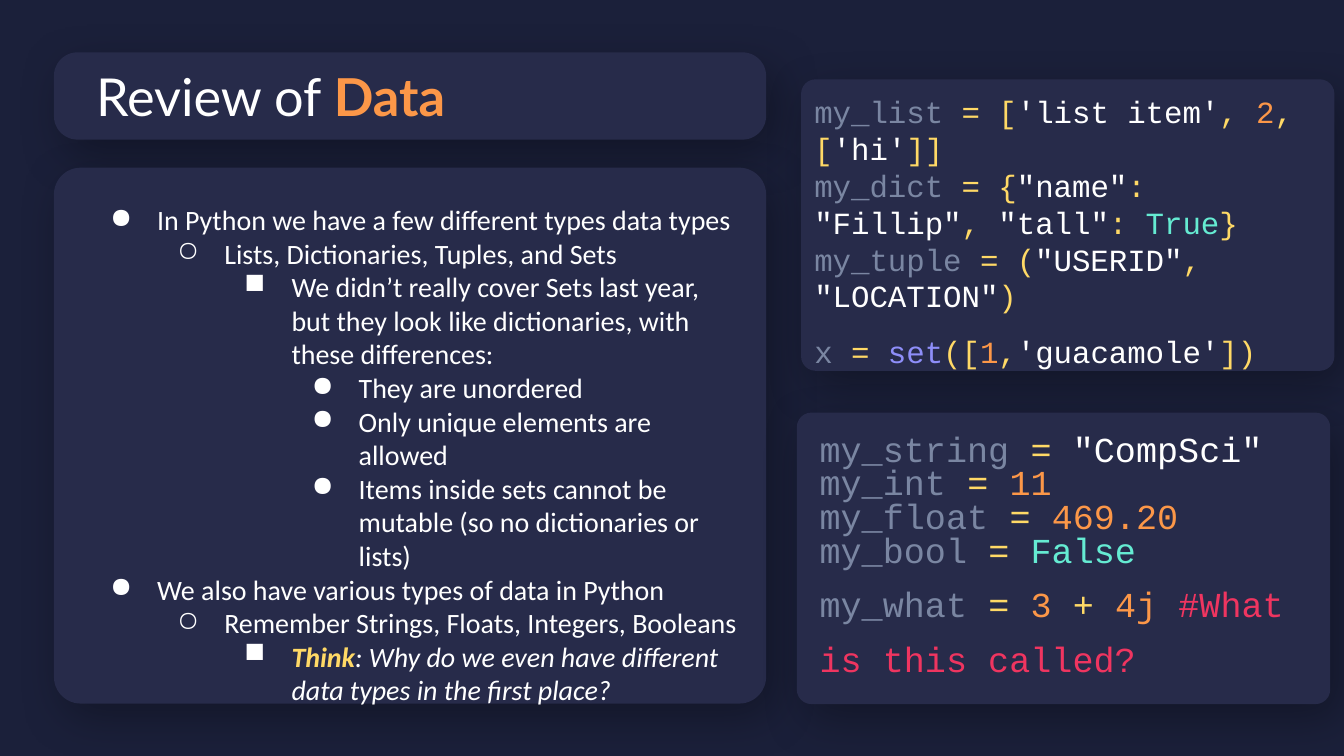
from dataclasses import dataclass

from lxml import etree
from pptx import Presentation
from pptx.dml.color import RGBColor
from pptx.enum.shapes import MSO_SHAPE
from pptx.enum.text import MSO_ANCHOR
from pptx.oxml.ns import qn
from pptx.util import Cm, Pt

ROUNDED = MSO_SHAPE.ROUNDED_RECTANGLE
TOP, MIDDLE = MSO_ANCHOR.TOP, MSO_ANCHOR.MIDDLE


@dataclass(frozen=True)
class Theme:
    background: str = "1B203A"
    card: str = "272B4A"
    shadow: str = "000000"
    white: str = "FFFFFF"
    name: str = "7A86A2"
    symbol: str = "FFD966"
    number: str = "FC9748"
    boolean: str = "65EBD2"
    builtin: str = "8E8EF9"
    comment: str = "EF3560"
    title_font: str = "Lato"
    body_font: str = "Calibri"
    code_font: str = "Courier New"
    title_size: float = 28
    body_size: float = 15
    list_size: float = 16.5
    value_size: float = 18.8


T = Theme()
BULLETS = "●○■●"
LEVEL_STEP, HANGING = 1.27, 0.89

BODY = [
    (0, "In Python we have a few different types data types"),
    (1, "Lists, Dictionaries, Tuples, and Sets"),
    (2, "We didn’t really cover Sets last year, but they look like "
        "dictionaries, with these differences:"),
    (3, "They are unordered"),
    (3, "Only unique elements are allowed"),
    (3, "Items inside sets cannot be mutable (so no dictionaries or lists)"),
    (0, "We also have various types of data in Python"),
    (1, "Remember Strings, Floats, Integers, Booleans"),
]
QUESTION = ": Why do we even have different data types in the first place?"

# Each code line: line spacing, then (text, colour) tokens
COLLECTIONS = [
    (1, [("my_list ", T.name), ("= [", T.symbol), ("'list item'", T.white),
         (", ", T.symbol), ("2", T.number), (", [", T.symbol),
         ("'hi'", T.white), ("]]", T.symbol)]),
    (1, [("my_dict ", T.name), ("= {", T.symbol), ('"name"', T.white),
         (": ", T.symbol), ('"Fillip"', T.white), (", ", T.symbol),
         ('"tall"', T.white), (": ", T.symbol), ("True", T.boolean),
         ("}", T.symbol)]),
    (1, [("my_tuple ", T.name), ("= (", T.symbol), ('"USERID"', T.white),
         (", ", T.symbol), ('"LOCATION"', T.white), (")", T.symbol)]),
    (1.5, [("x ", T.name), ("= ", T.symbol), ("set", T.builtin),
           ("([", T.symbol), ("1", T.number), (",", T.symbol),
           ("'guacamole'", T.white), ("])", T.symbol)]),
]
VALUES = [
    (0.8, [(name, T.name), ("= ", T.symbol), (value, color)])
    for name, value, color in [
        ("my_string ", '"CompSci"', T.white),
        ("my_int ", "11", T.number),
        ("my_float ", "469.20", T.number),
        ("my_bool ", "False", T.boolean),
    ]
] + [
    (1.3, [("my_what ", T.name), ("= ", T.symbol), ("3 ", T.number),
           ("+ ", T.symbol), ("4j ", T.number),
           ("#What is this called?", T.comment)]),
]


def add_card(slide, box, radius):
    sp = slide.shapes.add_shape(ROUNDED, *map(Cm, box))
    sp.adjustments[0] = radius
    sp.fill.solid()
    sp.fill.fore_color.rgb = RGBColor.from_string(T.card)
    sp.line.fill.background()
    effects = etree.SubElement(sp._element.spPr, qn("a:effectLst"))
    shadow = etree.SubElement(
        effects, qn("a:outerShdw"), blurRad=str(Pt(24.8)), dist=str(Pt(9)),
        dir=str(57 * 60000), algn="bl", rotWithShape="0")
    color = etree.SubElement(shadow, qn("a:srgbClr"), val=T.shadow)
    etree.SubElement(color, qn("a:alpha"), val="30000")


def add_text_frame(slide, box, anchor=TOP):
    tf = slide.shapes.add_textbox(*map(Cm, box)).text_frame
    formats = {"word_wrap": True, "vertical_anchor": anchor}
    formats |= {f"margin_{side}": Cm(0.25)
                for side in ("left", "top", "right", "bottom")}
    for key, value in formats.items():
        setattr(tf, key, value)
    return tf


def add_run(p, text, color, **formats):
    r = p.add_run()
    r.text = text
    r.font.color.rgb = RGBColor.from_string(color)
    for key, value in formats.items():
        setattr(r.font, key, value)


def next_paragraph(tf, index):
    return tf.paragraphs[0] if index == 0 else tf.add_paragraph()


def set_bullet(p, level):
    p.level = level
    pPr = p._p.get_or_add_pPr()
    pPr.set("marL", str(Cm(LEVEL_STEP * (level + 1))))
    pPr.set("indent", str(-Cm(HANGING)))
    color = etree.SubElement(pPr, qn("a:buClr"))
    etree.SubElement(color, qn("a:srgbClr"), val=T.white)
    etree.SubElement(pPr, qn("a:buChar"), char=BULLETS[level])


def add_title(slide, box):
    x, y, w, h = box
    add_card(slide, box, 0.27)
    tf = add_text_frame(slide, (x + 0.55, y + 0.03, w - 1.14, h - 0.08), MIDDLE)
    p = tf.paragraphs[0]
    style = {"name": T.title_font, "size": Pt(T.title_size)}
    add_run(p, "Review of ", T.white, **style)
    add_run(p, "Data", T.number, bold=True, **style)


def add_body(slide, box):
    x, y, w, h = box
    add_card(slide, box, 0.05)
    tf = add_text_frame(slide, (x + 0.43, y + 0.41, w - 0.71, h - 0.63))
    style = {"name": T.body_font, "size": Pt(T.body_size)}
    for i, (level, text) in enumerate(BODY):
        p = next_paragraph(tf, i)
        set_bullet(p, level)
        add_run(p, text, T.white, **style)
    p = tf.add_paragraph()
    set_bullet(p, 2)
    add_run(p, "Think", T.symbol, bold=True, italic=True, **style)
    add_run(p, QUESTION, T.white, italic=True, **style)


def add_code(slide, box, lines, size, inset):
    """Place a card with coloured code; inset moves the text in from its edges."""
    x, y, w, h = box
    add_card(slide, box, 0.05)
    tf = add_text_frame(
        slide, (x + inset, y + inset, w - 2 * inset, h - 2 * inset))
    for i, (spacing, tokens) in enumerate(lines):
        p = next_paragraph(tf, i)
        p.line_spacing = spacing
        for text, color in tokens:
            add_run(p, text, color, name=T.code_font, size=Pt(size))


def main():
    prs = Presentation()
    prs.slide_width, prs.slide_height = Cm(25.4), Cm(14.29)
    slide = prs.slides.add_slide(prs.slide_layouts[6])
    fill = slide.background.fill
    fill.solid()
    fill.fore_color.rgb = RGBColor.from_string(T.background)

    add_title(slide, (1.02, 0.99, 13.46, 1.65))
    add_body(slide, (1.02, 3.17, 13.46, 10.13))
    add_code(slide, (15.14, 1.5, 10.08, 5.51), COLLECTIONS, T.list_size, 0)
    add_code(slide, (15.06, 7.8, 10.08, 5.51), VALUES, T.value_size, 0.18)
    prs.save("out.pptx")


if __name__ == "__main__":
    main()
